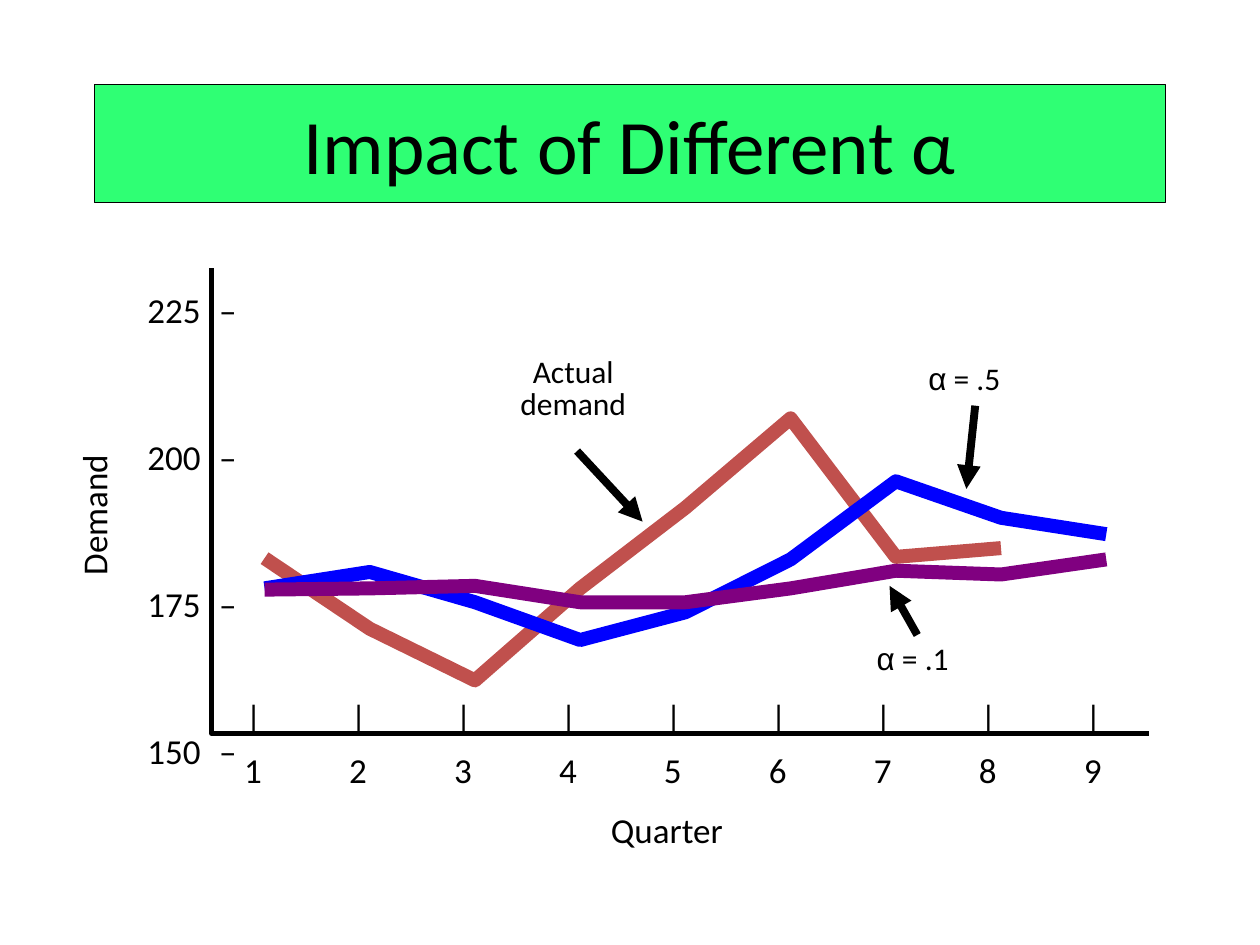
from lxml import etree
from pptx import Presentation
from pptx import util as u
from pptx.dml.color import RGBColor
from pptx.enum import shapes, text
from pptx.oxml import ns

COLORS = {"banner": "2FFF74", "ink": "000000", "actual": "C0504D",
          "half": "0000FF", "tenth": "800080"}
LEFT, CENTER = text.PP_ALIGN.LEFT, text.PP_ALIGN.CENTER
POINT_GAP, TICK_GAP = 0.835, 0.833
DEMAND = {
    "actual": [2.30, 2.86, 3.27, 2.54, 1.90, 1.19, 2.29, 2.22],
    "half": [2.54, 2.41, 2.65, 2.95, 2.73, 2.31, 1.69, 1.98, 2.11],
    "tenth": [2.55, 2.54, 2.52, 2.65, 2.65, 2.54, 2.40, 2.43, 2.31],
}


def rgb(name):
    """Return a named colour."""
    return RGBColor.from_string(COLORS[name])


def style_line(shape, color, width):
    """Set the colour and width of an outline."""
    shape.line.color.rgb = rgb(color)
    shape.line.width = u.Pt(width)


def add_tabs(p, stops, kind):
    """Put tab stops, in inches, on a paragraph."""
    tabs = etree.SubElement(p._p.get_or_add_pPr(), ns.qn("a:tabLst"))
    for stop in stops:
        etree.SubElement(tabs, ns.qn("a:tab"), pos=str(u.Inches(stop)), algn=kind)


def fill_text(tf, lines, size, align=LEFT, spacing=None, tabs=(), kind="l"):
    """Write lines of (words, font) runs into a text frame."""
    for i, line in enumerate(lines):
        p = tf.paragraphs[0] if i == 0 else tf.add_paragraph()
        formats = {"alignment": align, "line_spacing": spacing}
        for name, value in formats.items():
            setattr(p, name, value)
        if tabs:
            add_tabs(p, tabs, kind)
        for words, font in line:
            r = p.add_run()
            r.text = words
            for name, value in {"name": font, "size": u.Pt(size)}.items():
                setattr(r.font, name, value)
            r.font.color.rgb = rgb("ink")


def add_label(s, box, lines, size=20, wrap=False, **formats):
    """Add a text box that grows with its text."""
    tb = s.shapes.add_textbox(*map(u.Inches, box))
    tb.text_frame.word_wrap = wrap
    tb.text_frame.auto_size = text.MSO_AUTO_SIZE.SHAPE_TO_FIT_TEXT
    fill_text(tb.text_frame, lines, size, **formats)
    return tb


def add_path(s, points, color, width):
    """Draw an open line through points in inches."""
    start, *rest = [(u.Inches(x), u.Inches(y)) for x, y in points]
    builder = s.shapes.build_freeform(*start)
    builder.add_line_segments(rest, close=False)
    sp = builder.convert_to_shape()
    sp.shadow.inherit = False
    sp.fill.background()
    style_line(sp, color, width)


def add_title(s, box):
    """Draw the title banner."""
    sp = s.shapes.add_shape(shapes.MSO_SHAPE.RECTANGLE, *map(u.Inches, box))
    sp.shadow.inherit = False
    sp.fill.solid()
    sp.fill.fore_color.rgb = rgb("banner")
    style_line(sp, "ink", 0.75)
    sp.text_frame.vertical_anchor = text.MSO_ANCHOR.MIDDLE
    fill_text(sp.text_frame, [[("Impact of Different α", "Calibri")]], 44, CENTER)


def add_series(s, box):
    """Draw the three demand lines in the plot box."""
    left, top = box[:2]
    for color, heights in DEMAND.items():
        points = [(left + 0.42 + POINT_GAP * i, top + y) for i, y in enumerate(heights)]
        add_path(s, points, color, 8)


def add_axes(s, box):
    """Draw the axes with their scales and names around the plot box."""
    left, top, width, height = box
    bottom = top + height
    scale = add_label(s, (left - 0.69, top - 0.72, 0.97, 4.77),
                      [[(f"{n}\t–", "Calibri")] for n in range(225, 149, -25)],
                      wrap=True, spacing=3.5, tabs=[0.57])
    scale.text_frame.margin_left = u.Inches(0.18)
    scale.text_frame.margin_right = 0
    add_path(s, [(left, top), (left, bottom), (left + width, bottom)], "ink", 3)
    quarters = range(1, 10)
    rows = ["".join(f"\t{mark}" for mark in marks) for marks in ("|" * 9, quarters)]
    add_label(s, (left + 0.09, bottom - 0.43, 7.08, 0.93),
              [[(row, "Calibri")] for row in rows], spacing=1.25,
              tabs=[0.21 + TICK_GAP * i for i in range(9)], kind="dec")
    add_label(s, (left + 3.07, bottom + 0.55, 1.2, 0.43), [[("Quarter", "Calibri")]])
    name = add_label(s, (left - 1.59, top + 1.67, 1.3, 0.43), [[("Demand", "Calibri")]])
    name.rotation = 270


def add_callout(s, box, runs, tip, end, **formats):
    """Label a line, with an arrow whose points are offsets from the box."""
    left, top = box[:2]
    add_label(s, box, [runs], size=18, **formats)
    ends = [u.Inches(v) for dx, dy in (tip, end) for v in (left + dx, top + dy)]
    arrow = s.shapes.add_connector(shapes.MSO_CONNECTOR.STRAIGHT, *ends)
    style_line(arrow, "ink", 4.5)
    etree.SubElement(arrow.line._get_or_add_ln(), ns.qn("a:headEnd"), type="triangle")
    etree.SubElement(arrow._element.spPr, ns.qn("a:effectLst"))


def main():
    """Build the slide and save it."""
    prs = Presentation()
    prs.slide_width, prs.slide_height = u.Inches(10), u.Inches(7.5)
    s = prs.slides.add_slide(prs.slide_layouts[6])
    plot = (1.68, 2.13, 7.44, 3.69)
    add_title(s, (0.75, 0.67, 8.5, 0.94))
    add_series(s, plot)
    add_axes(s, plot)
    add_callout(s, (6.86, 5.02, 1.07, 0.5), [("α", "Arial"), (" = .1", "Calibri")],
                (0.2, -0.37), (0.42, 0.02))
    add_callout(s, (3.77, 2.79, 1.56, 0.78), [("Actual demand", "Calibri")],
                (1.33, 1.35), (0.81, 0.79), wrap=True, align=CENTER, spacing=0.85)
    add_callout(s, (7.27, 2.8, 1.07, 0.5), [("α", "Arial"), (" = .5", "Calibri")],
                (0.4, 1.08), (0.47, 0.42))
    prs.save("out.pptx")


if __name__ == "__main__":
    main()
